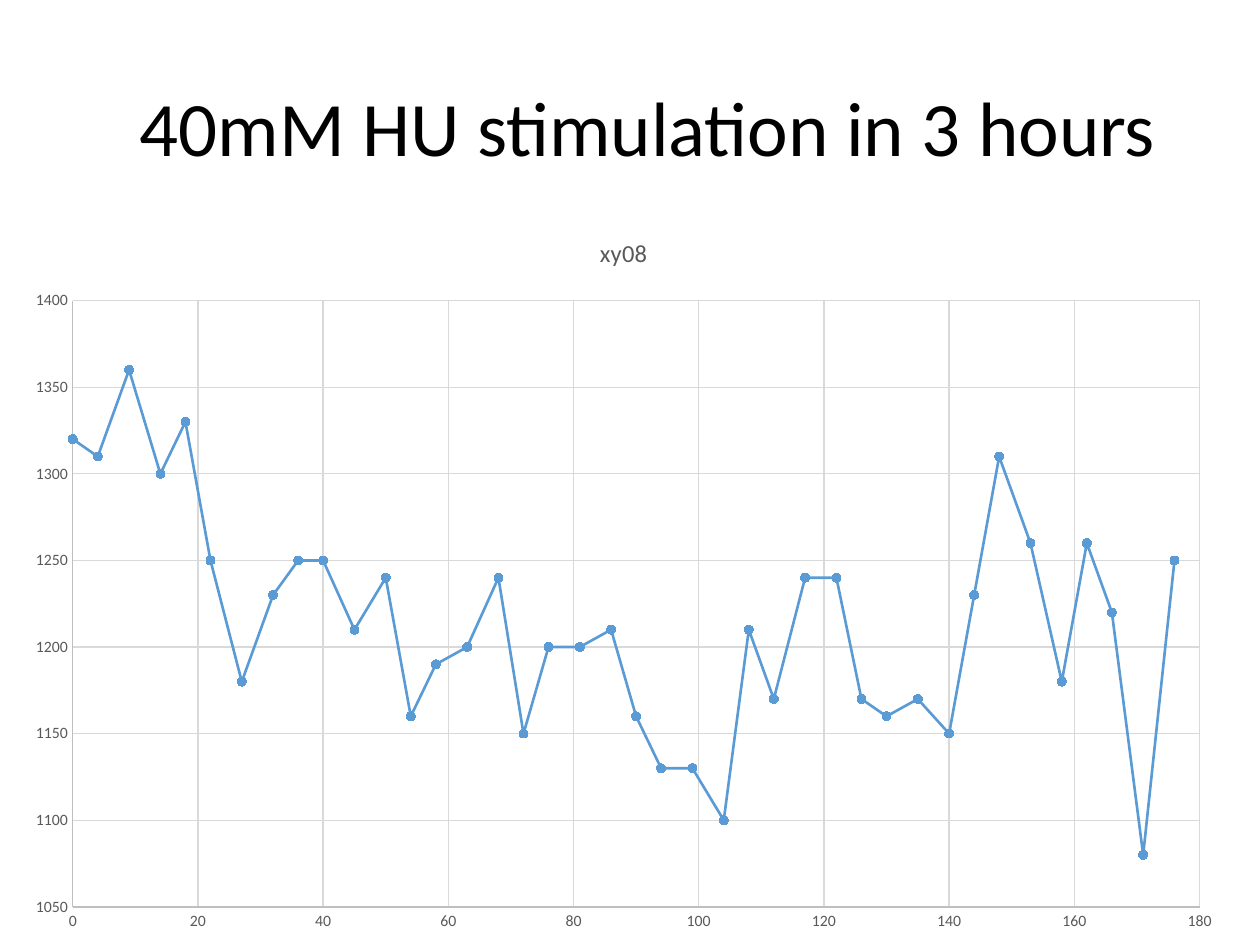
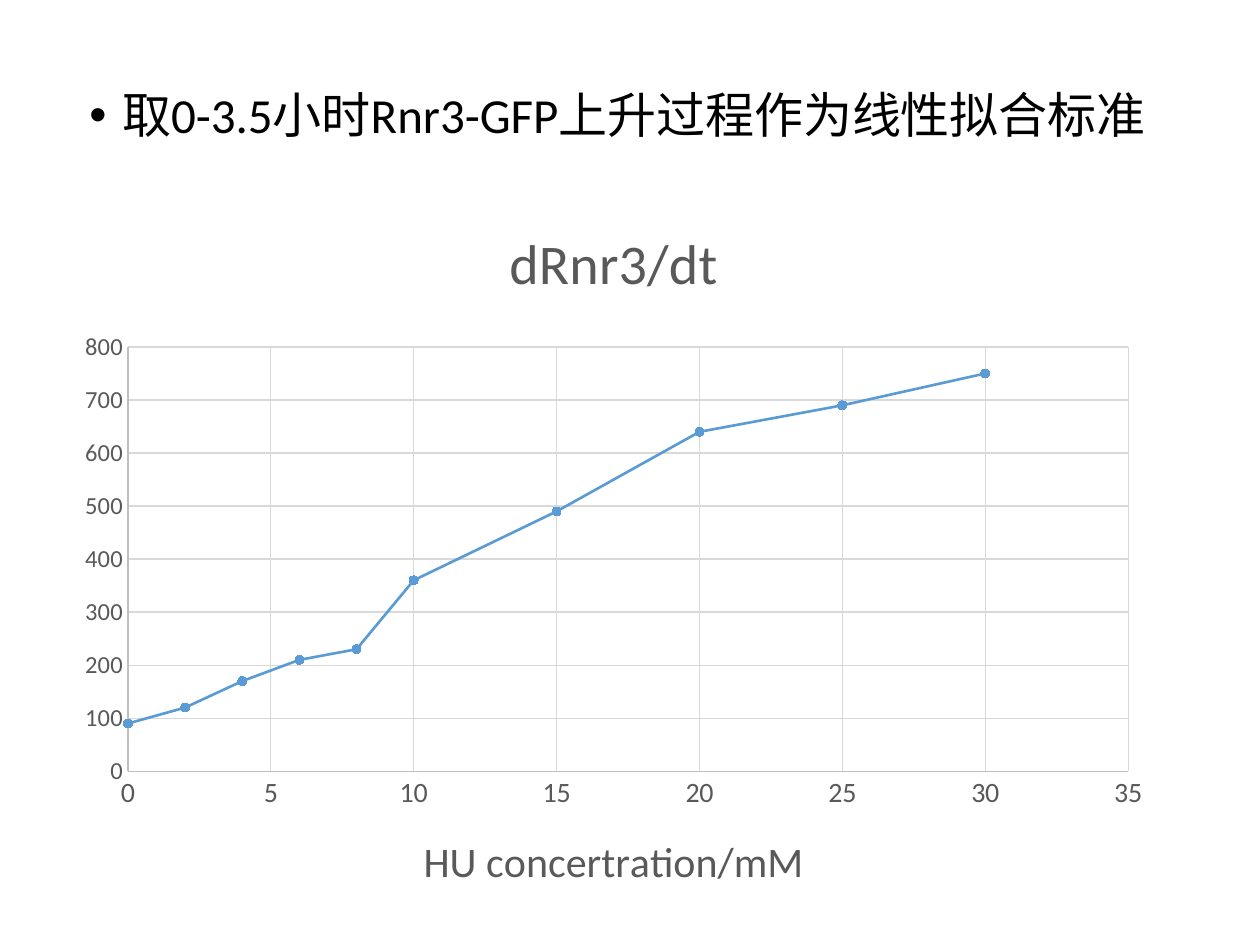
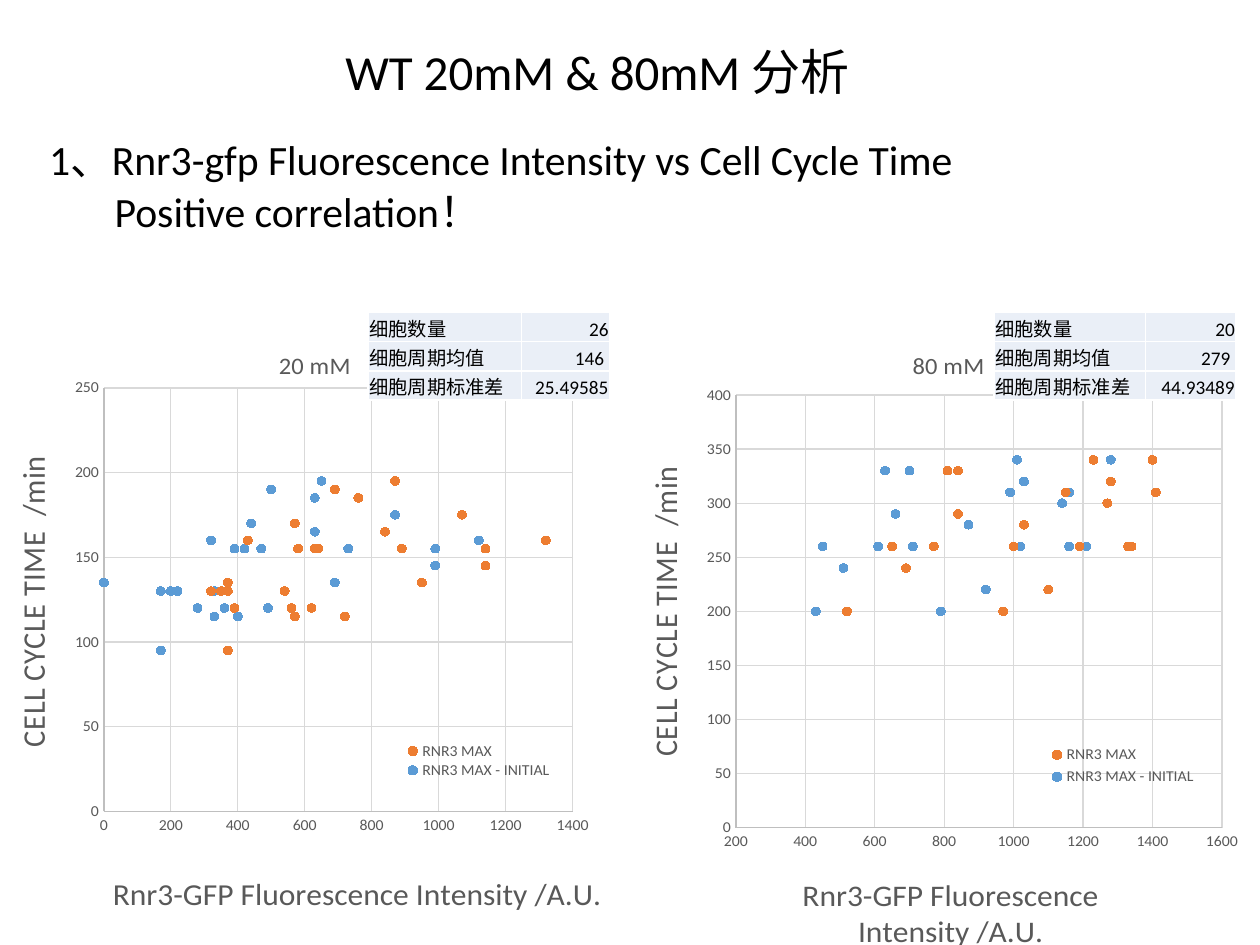
from lxml import etree
from pptx import Presentation
from pptx.chart.data import XyChartData
from pptx.dml.color import RGBColor
from pptx.enum.chart import XL_CHART_TYPE, XL_LEGEND_POSITION, XL_MARKER_STYLE, XL_TICK_MARK
from pptx.enum.text import MSO_ANCHOR, MSO_AUTO_SIZE, PP_ALIGN
from pptx.oxml.ns import qn
from pptx.util import Inches, Pt

FONT = "Calibri"
BLACK, GRAY, AXIS, GRID = "000000", "595959", "BFBFBF", "D9D9D9"
BLUE, ORANGE, CELL, WHITE = "5B9BD5", "ED7D31", "EAEFF7", "FFFFFF"
LINES, DOTS = XL_CHART_TYPE.XY_SCATTER_LINES, XL_CHART_TYPE.XY_SCATTER
NO_TICK, CIRCLE = XL_TICK_MARK.NONE, XL_MARKER_STYLE.CIRCLE
LEFT, RIGHT = PP_ALIGN.LEFT, PP_ALIGN.RIGHT
MIDDLE, TOP, BOTTOM = MSO_ANCHOR.MIDDLE, MSO_ANCHOR.TOP, MSO_ANCHOR.BOTTOM
NS = {"c": "http://schemas.openxmlformats.org/drawingml/2006/chart",
      "a": "http://schemas.openxmlformats.org/drawingml/2006/main"}


def style(font, size, color):
    for name, value in {"name": FONT, "size": Pt(size), "bold": False}.items():
        setattr(font, name, value)
    font.color.rgb = RGBColor.from_string(color)


def set_layout(sibling, box, inner=False):
    """Place a chart part by fractions of the chart, just before sibling."""
    parent = sibling.getparent()
    for old in parent.findall("c:layout", NS):
        parent.remove(old)
    layout = etree.Element(qn("c:layout"))
    manual = etree.SubElement(layout, qn("c:manualLayout"))
    values = [("layoutTarget", "inner")] if inner else []
    values += [("xMode", "edge"), ("yMode", "edge"), *zip("xywh", box)]
    for tag, value in values:
        etree.SubElement(manual, qn(f"c:{tag}")).set("val", str(value))
    sibling.addprevious(layout)


prs = Presentation()
prs.slide_width, prs.slide_height = Inches(10), Inches(7.5)
TITLE_ONLY, TITLE_AND_BODY = prs.slide_layouts[5], prs.slide_layouts[1]
hours = prs.slides.add_slide(TITLE_ONLY)
rate = prs.slides.add_slide(TITLE_AND_BODY)
cycle = prs.slides.add_slide(TITLE_AND_BODY)

# Titles and body text: paragraphs are (text, left margin, first-line indent, bullet)
texts = [
    (hours.shapes.title, (1.01, 0.32, 8.62, 1.45), 44, 0.9, MIDDLE,
     [("40mM HU stimulation in 3 hours", 0, 0, None)]),
    (rate.placeholders[1], (0.61, 0.67, 8.62, 0.87), 28, 0.9, TOP,
     [("取0-3.5小时Rnr3-GFP上升过程作为线性拟合标准", 0.26, -0.26, "•")]),
    (cycle.shapes.title, (2.64, 0.32, 6.81, 0.54), 28, 0.9, MIDDLE,
     [("WT 20mM & 80mM 分析", 0, 0, None)]),
    (cycle.placeholders[1], (0.29, 1.12, 9.53, 0.83), 23.8, 0.7, TOP,
     [("1、Rnr3-gfp Fluorescence Intensity vs Cell Cycle Time", 0, 0, None),
      ("Positive correlation！", 0.52, 0, None)]),
]
for sp, box, size, spacing, anchor, paragraphs in texts:
    sp.left, sp.top, sp.width, sp.height = map(Inches, box)
    tf = sp.text_frame
    tf.word_wrap, tf.auto_size, tf.vertical_anchor = True, MSO_AUTO_SIZE.NONE, anchor
    for i, (text, margin, indent, bullet) in enumerate(paragraphs):
        p = tf.paragraphs[0] if i == 0 else tf.add_paragraph()
        pPr = p._p.get_or_add_pPr()
        pPr.set("marL", str(Inches(margin)))
        pPr.set("indent", str(Inches(indent)))
        if bullet:
            etree.SubElement(pPr, qn("a:buChar")).set("char", bullet)
        else:
            etree.SubElement(pPr, qn("a:buNone"))
        p.alignment, p.line_spacing = LEFT, spacing
        p.space_before = Pt(10 if i else 0)
        r = p.add_run()
        r.text = text
        style(r.font, size, BLACK)
title = rate.shapes.title.element
title.getparent().remove(title)

# Chart data
xy08 = [1320, 1310, 1360, 1300, 1330, 1250, 1180, 1230, 1250, 1250,
        1210, 1240, 1160, 1190, 1200, 1240, 1150, 1200, 1200, 1210,
        1160, 1130, 1130, 1100, 1210, 1170, 1240, 1240, 1170, 1160,
        1170, 1150, 1230, 1310, 1260, 1180, 1260, 1220, 1080, 1250]
minutes = [round(4.5 * i) for i in range(len(xy08))]
concentration = [0, 2, 4, 6, 8, 10, 15, 20, 25, 30]
slope = [90, 120, 170, 210, 230, 360, 490, 640, 690, 750]
time_20 = [155, 170, 130, 115, 160, 120, 155, 145, 155, 95, 135, 185, 130,
           195, 160, 155, 120, 115, 175, 165, 135, 155, 190, 130, 130, 120]
max_20 = [580, 570, 370, 720, 430, 390, 1140, 1140, 890, 370, 370, 760, 540,
          870, 1320, 630, 620, 570, 1070, 840, 950, 640, 690, 320, 350, 560]
rise_20 = [390, 440, 200, 330, 320, 280, 990, 990, 730, 170, 0, 630, 330,
           650, 1120, 470, 490, 400, 870, 630, 690, 420, 500, 220, 170, 360]
time_80 = [340, 330, 260, 330, 260, 200, 290, 340, 320, 260,
           260, 240, 280, 260, 300, 220, 260, 310, 200, 310]
max_80 = [1230, 840, 1000, 810, 650, 520, 840, 1400, 1280, 770,
          1190, 690, 1030, 1340, 1270, 1100, 1330, 1410, 970, 1150]
rise_80 = [1010, 700, 710, 630, 450, 430, 660, 1280, 1030, 610,
           1020, 510, 870, 1210, 1140, 920, 1160, 1160, 790, 990]

INTENSITY, CYCLE_TIME = "Rnr3-GFP Fluorescence Intensity /A.U.", "CELL CYCLE TIME  /min"
charts = [
    dict(slide=hours, box=(0.09, 1.67, 9.72, 5.83), kind=LINES, title="xy08", title_size=14,
         series=[("Series 1", minutes, xy08, BLUE)], tick_sizes=(9, 9),
         axis_titles=(None, None), axis_title_size=18, limits=((0, 180), (1050, None))),
    dict(slide=rate, box=(0.5, 1.53, 8.74, 5.79), kind=LINES, title="dRnr3/dt", title_size=32,
         series=[("dRnr3/dt", concentration, slope, BLUE)], tick_sizes=(16, 14),
         axis_titles=("HU concertration/mM", None), axis_title_size=24),
]
for title, box, times, peaks, rises, plot_box, legend_box, x_title_at in [
        ("20 mM", (0, 2.59, 5, 4.73), time_20, max_20, rise_20,
         (0.165, 0.107, 0.744, 0.736), (0.6, 0.72, 0.32, 0.07), (0.17, 0.94)),
        ("80 mM", (5.06, 2.59, 4.94, 5.02), time_80, max_80, rise_80,
         (0.158, 0.114, 0.781, 0.719), (0.62, 0.69, 0.32, 0.08), (0.145, 0.9))]:
    charts.append(dict(
        slide=cycle, box=box, kind=DOTS, title=title, title_size=14,
        series=[("RNR3 MAX", peaks, times, ORANGE),
                ("RNR3 MAX - INITIAL", rises, times, BLUE)],
        tick_sizes=(9, 9), axis_titles=(INTENSITY, CYCLE_TIME), axis_title_size=18,
        plot_box=plot_box, legend_box=legend_box, x_title_at=x_title_at))

for c in charts:
    data = XyChartData()
    for name, xs, ys, _ in c["series"]:
        series = data.add_series(name)
        for x, y in zip(xs, ys):
            series.add_data_point(x, y)
    chart = c["slide"].shapes.add_chart(c["kind"], *map(Inches, c["box"]), data).chart
    style(chart.font, 10, BLACK)
    chart.has_title = True
    tf = chart.chart_title.text_frame
    tf.text = c["title"]
    style(tf.paragraphs[0].runs[0].font, c["title_size"], GRAY)

    plot = chart.plots[0]
    plot.vary_by_categories = False
    for series, (_, _, _, color) in zip(plot.series, c["series"]):
        marker = series.marker
        marker.style, marker.size = CIRCLE, 5
        marker.format.fill.solid()
        marker.format.fill.fore_color.rgb = RGBColor.from_string(color)
        marker.format.line.color.rgb = RGBColor.from_string(color)
        if c["kind"] == LINES:
            series.format.line.color.rgb = RGBColor.from_string(color)
            series.format.line.width = Pt(1.5)

    limits = c.get("limits", ((None, None), (None, None)))
    for axis, size, text, (low, high) in zip(
            (chart.category_axis, chart.value_axis), c["tick_sizes"], c["axis_titles"], limits):
        axis.major_tick_mark = axis.minor_tick_mark = NO_TICK
        axis.minimum_scale, axis.maximum_scale = low, high
        axis.has_major_gridlines = True
        style(axis.tick_labels.font, size, GRAY)
        for line, color in ((axis.format.line, AXIS), (axis.major_gridlines.format.line, GRID)):
            line.color.rgb = RGBColor.from_string(color)
            line.width = Pt(0.75)
        axis.has_title = text is not None
        if text:
            tf = axis.axis_title.text_frame
            tf.text = text
            style(tf.paragraphs[0].runs[0].font, c["axis_title_size"], GRAY)

    chart.has_legend = "legend_box" in c
    if chart.has_legend:
        body = chart.element.find(".//c:valAx[2]/c:title/c:tx/c:rich/a:bodyPr", NS)
        body.set("rot", "-5400000")
        body.set("vert", "horz")
        chart.legend.position = XL_LEGEND_POSITION.RIGHT
        chart.legend.include_in_layout = False
        style(chart.legend.font, 9, GRAY)
        set_layout(chart.element.find(".//c:legend/c:overlay", NS), c["legend_box"])
        set_layout(chart.element.find(".//c:scatterChart", NS), c["plot_box"], inner=True)
        set_layout(chart.element.find(".//c:valAx[1]/c:title/c:overlay", NS), c["x_title_at"])

# Cell statistics
for left, top, widths, values in [
        (2.92, 2.48, (1.22, 0.7), ("26", "146 ", "25.49585")),
        (7.89, 2.48, (1.2, 0.72), ("20", "279 ", "44.93489"))]:
    table = cycle.shapes.add_table(3, 2, Inches(left), Inches(top),
                                   Inches(sum(widths)), Inches(0.6)).table
    table.first_row = table.horz_banding = False
    for column, width in zip(table.columns, widths):
        column.width = Inches(width)
    labels = ("细胞数量", "细胞周期均值", "细胞周期标准差")
    for row, row_texts in zip(table.rows, zip(labels, values)):
        row.height = Inches(0.2)
        for cell, text, align in zip(row.cells, row_texts, (LEFT, RIGHT)):
            cell.margin_left = cell.margin_right = cell.margin_top = Inches(0.01)
            cell.margin_bottom = 0
            cell.vertical_anchor = BOTTOM
            cell.fill.solid()
            cell.fill.fore_color.rgb = RGBColor.from_string(CELL)
            p = cell.text_frame.paragraphs[0]
            p.alignment = align
            r = p.add_run()
            r.text = text
            style(r.font, 11, BLACK)
            tcPr = cell._tc.get_or_add_tcPr()
            for i, side in enumerate(("lnL", "lnR", "lnT", "lnB")):
                border = etree.Element(qn(f"a:{side}"), w=str(Pt(1)))
                fill = etree.SubElement(border, qn("a:solidFill"))
                etree.SubElement(fill, qn("a:srgbClr")).set("val", WHITE)
                tcPr.insert(i, border)

prs.save("out.pptx")
